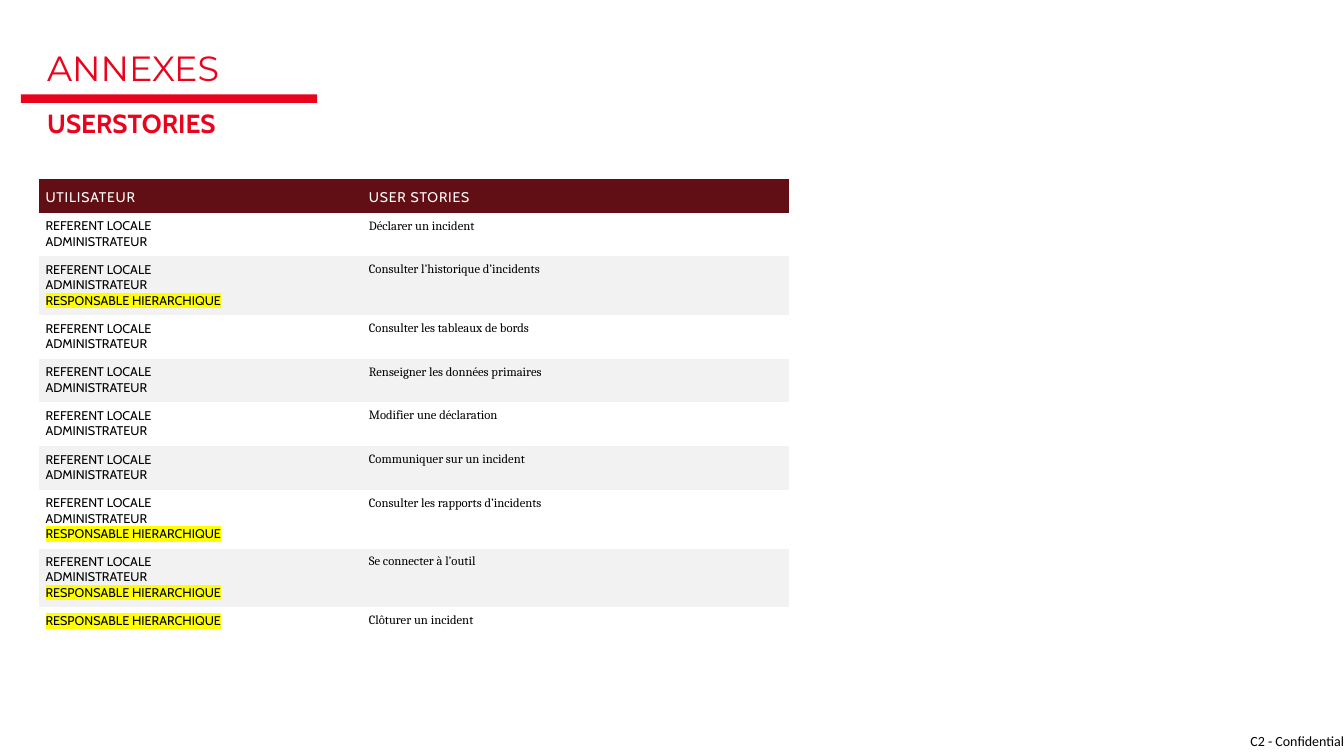
from lxml.etree import SubElement
from pptx import Presentation
from pptx.dml.color import RGBColor
from pptx.enum.shapes import MSO_SHAPE
from pptx.enum.text import MSO_ANCHOR, PP_ALIGN
from pptx.oxml.ns import qn
from pptx.util import Inches, Pt

RED = RGBColor(0xE9, 0x04, 0x1E)
MAROON = RGBColor(0x61, 0x0F, 0x15)
GREY = RGBColor(0xF2, 0xF2, 0xF2)
WHITE = RGBColor(0xFF, 0xFF, 0xFF)
BLACK = RGBColor(0x00, 0x00, 0x00)
INK = RGBColor(0x01, 0x01, 0x01)
YELLOW = RGBColor(0xFF, 0xFF, 0x00)

COLS, ROWS = 64, 36
PLAIN = "{2D5ABB26-0587-4C30-8999-92F81FD0307C}"
LOCAL, ADMIN, CHIEF = "REFERENT LOCALE", "ADMINISTRATEUR", "RESPONSABLE HIERARCHIQUE"
PAIR = [LOCAL, ADMIN]
TRIO = PAIR + [CHIEF]
HEADS = ["UTILISATEUR", "USER STORIES"]
STORIES = [
    (PAIR, "Déclarer un incident"),
    (TRIO, "Consulter l’historique d’incidents"),
    (PAIR, "Consulter les tableaux de bords"),
    (PAIR, "Renseigner les données primaires"),
    (PAIR, "Modifier une déclaration"),
    (PAIR, "Communiquer sur un incident"),
    (TRIO, "Consulter les rapports d’incidents"),
    (TRIO, "Se connecter à l’outil"),
    ([CHIEF], "Clôturer un incident"),
]


def write(frame, lines, font="Cabin", size=9, color=INK, bold=False,
          align=PP_ALIGN.LEFT, lead=None, track=0, marked=()):
    """Write one paragraph per line into a text frame."""
    for i, line in enumerate(lines):
        para = frame.add_paragraph() if i else frame.paragraphs[0]
        para.alignment = align
        para.line_spacing = lead
        run = para.add_run()
        run.text = line
        run.font.size, run.font.bold = Pt(size), bold
        run.font.color.rgb = color
        props = run.font._element
        if track:
            props.set("spc", str(track))
        if line in marked:
            mark = SubElement(props, qn("a:highlight"))
            SubElement(mark, qn("a:srgbClr")).set("val", str(YELLOW))
        run.font.name = font


class Board:
    """Hold the grid and the current slide."""

    def __init__(self, deck):
        """Add a blank slide to the deck."""
        self.unit = (deck.slide_width / COLS, deck.slide_height / ROWS)
        self.slide = deck.slides.add_slide(deck.slide_layouts[6])

    def span(self, *cells):
        """Turn alternating columns and rows into lengths."""
        return [round(n * self.unit[i % 2]) for i, n in enumerate(cells)]

    def bar(self, *box, fill):
        """Draw a plain filled rectangle."""
        bar = self.slide.shapes.add_shape(MSO_SHAPE.RECTANGLE, *self.span(*box))
        bar.shadow.inherit = False
        bar.fill.solid()
        bar.fill.fore_color.rgb = fill
        bar.line.fill.background()

    def text(self, *box, line, anchor=MSO_ANCHOR.BOTTOM, **style):
        """Place a text box without margins."""
        frame = self.slide.shapes.add_textbox(*self.span(*box)).text_frame
        frame.word_wrap = True
        frame.vertical_anchor = anchor
        frame.margin_left = frame.margin_right = 0
        frame.margin_top = frame.margin_bottom = 0
        write(frame, [line], **style)

    def cell(self, cell, lines, fill=None, anchor=MSO_ANCHOR.TOP, **style):
        """Fill one table cell."""
        cell.margin_left = cell.margin_right = cell.margin_top = Inches(0.06)
        cell.margin_bottom = Inches(0.03)
        cell.vertical_anchor = anchor
        if fill is None:
            cell.fill.background()
        else:
            cell.fill.solid()
            cell.fill.fore_color.rgb = fill
        write(cell.text_frame, lines, **style)

    def table(self, left, top, wides, heads, stories):
        """Draw the table of users and their stories."""
        highs = [1.63] + [2.8 if len(users) > 2 else 2.08 for users, _ in stories]
        box = self.span(left, top, sum(wides), sum(highs))
        table = self.slide.shapes.add_table(len(highs), len(wides), *box).table
        table._tbl.tblPr.find(qn("a:tableStyleId")).text = PLAIN
        table.horz_banding = False
        for col, wide in zip(table.columns, wides):
            col.width = self.span(wide)[0]
        for row, high in zip(table.rows, highs):
            row.height = self.span(0, high)[1]
        for i, head in enumerate(heads):
            self.cell(table.cell(0, i), [head], fill=MAROON, size=10,
                      anchor=MSO_ANCHOR.MIDDLE, color=WHITE, track=60)
        for i, (users, story) in enumerate(stories, 1):
            fill = None if i % 2 else GREY
            self.cell(table.cell(i, 0), users, fill, marked=[CHIEF])
            self.cell(table.cell(i, 1), [story], fill, font="Cambria")


def main():
    """Build and save the slide."""
    deck = Presentation()
    deck.slide_width, deck.slide_height = Inches(13.33), Inches(7.5)
    board = Board(deck)
    board.text(58, 34.6, 6, 1.4, line="C2 - Confidential", font="Calibri", size=10,
               color=BLACK, align=PP_ALIGN.RIGHT, anchor=MSO_ANCHOR.MIDDLE)
    board.bar(1, 4.5, 14.1, 0.4, fill=RED)
    board.text(2.25, 2.55, 59.5, 1.63, line="ANNEXES", font="Montserrat", size=25,
               color=RED, lead=0.75)
    board.text(2.25, 5.28, 59.5, 1.34, line="USERSTORIES", size=18.7, color=RED,
               bold=True, lead=0.9)
    board.table(1.88, 8.5, [15.4, 20.3], HEADS, STORIES)
    deck.save("out.pptx")


if __name__ == "__main__":
    main()
